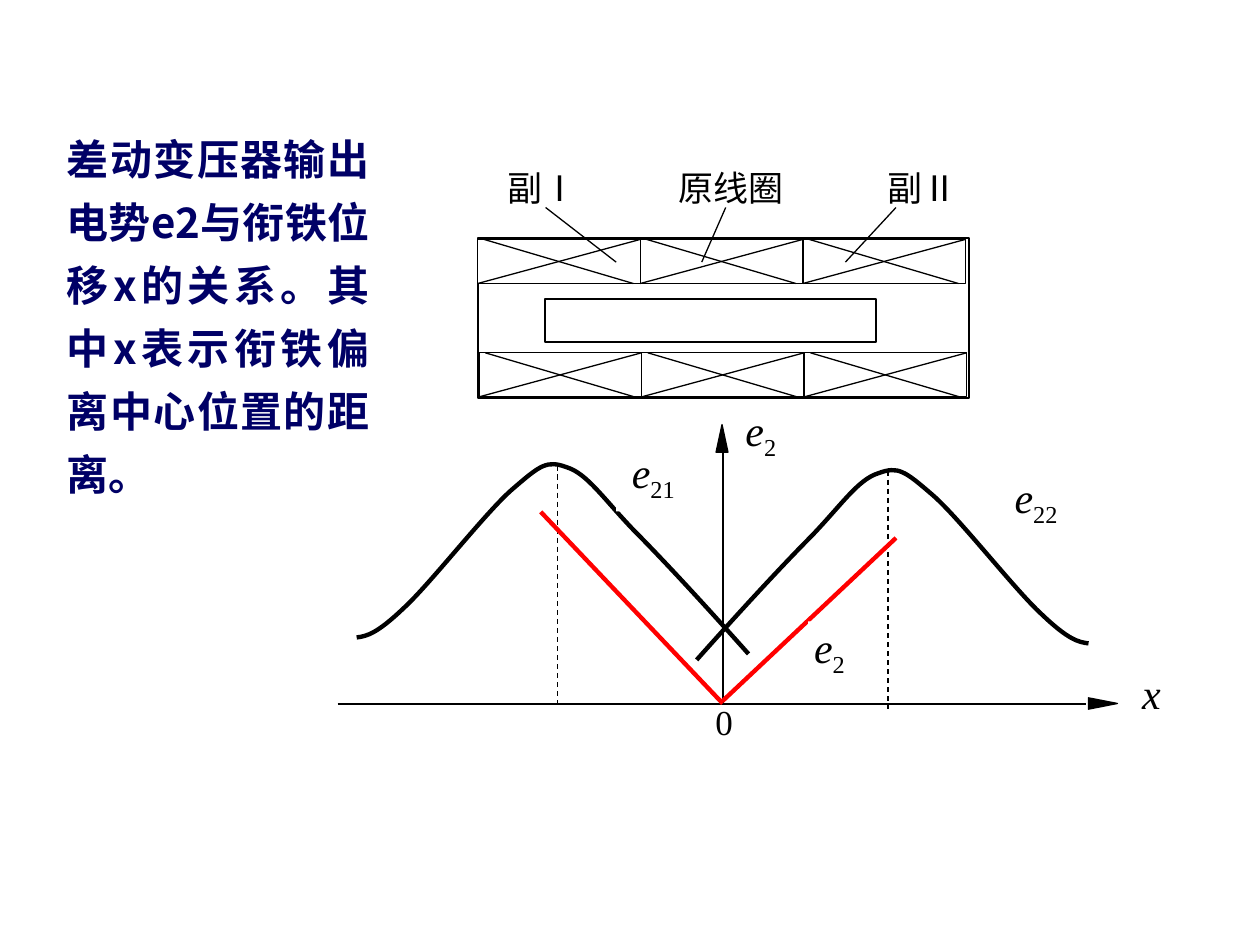
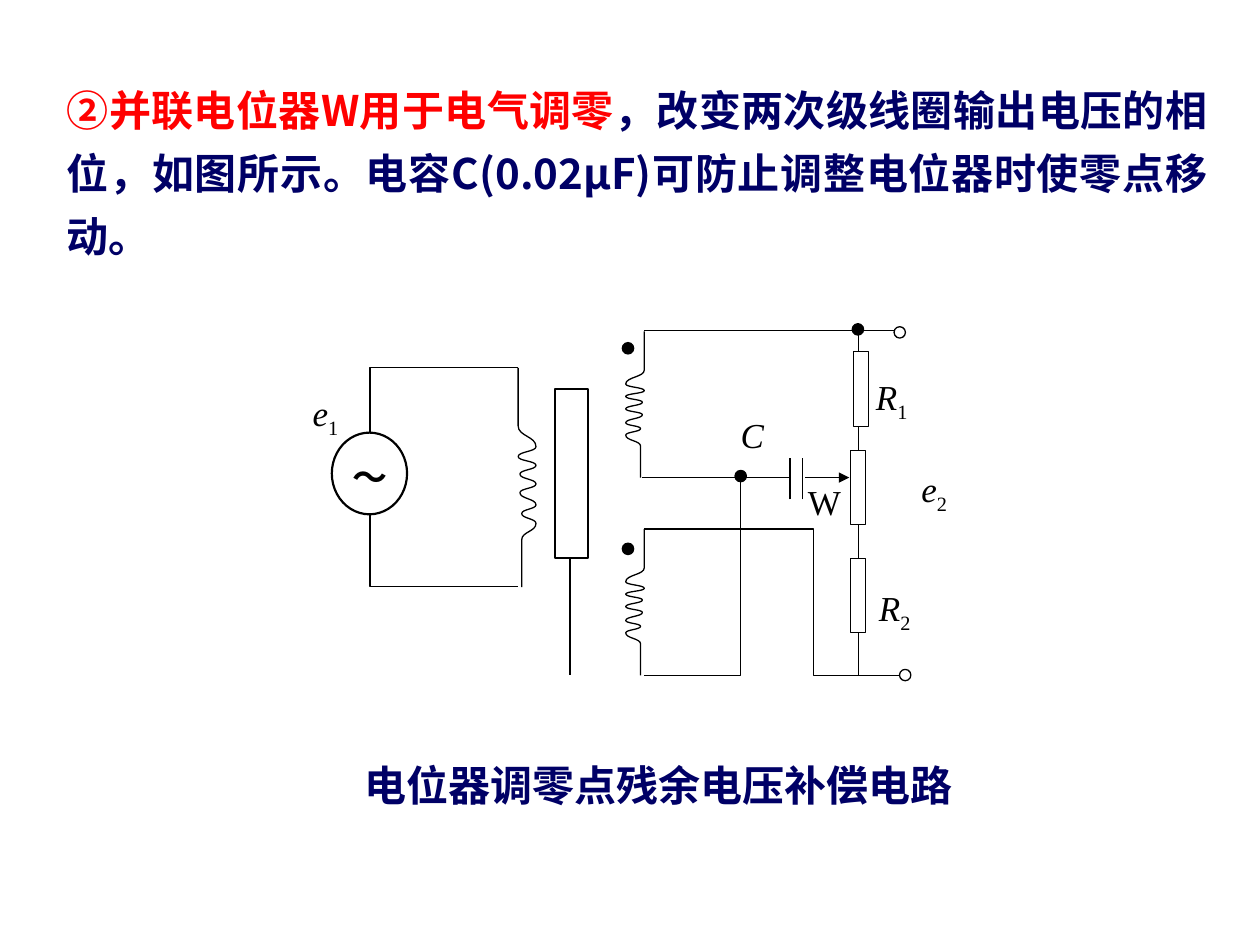
from typing import NamedTuple, Optional

from pptx import Presentation
from pptx.dml.color import RGBColor
from pptx.enum.dml import MSO_LINE
from pptx.enum.shapes import MSO_CONNECTOR, MSO_SHAPE
from pptx.enum.text import MSO_ANCHOR, MSO_AUTO_SIZE, PP_ALIGN
from pptx.oxml.ns import qn
from pptx.util import Pt
from lxml.etree import SubElement

BLACK, WHITE, NAVY, RED = "000000", "FFFFFF", "000066", "FF0000"
SANS, SERIF = "Noto Sans CJK SC", "Times New Roman"
THIN, MEDIUM, THICK = 0.75, 1.25, 2.5
DOT = 6.5


class Box(NamedTuple):
    x: float
    y: float
    w: float
    h: float


class Label(NamedTuple):
    box: Box
    text: str
    sub: str = ""
    italic: bool = True
    fill: Optional[str] = WHITE


class Wire(NamedTuple):
    x1: float
    y1: float
    x2: float
    y2: float
    color: str = BLACK
    width: float = THIN
    dashed: bool = False
    arrow: bool = False


def rgb(value: str) -> RGBColor:
    return RGBColor.from_string(value)


def set_line(line, color: str, width: float) -> None:
    line.color.rgb = rgb(color)
    line.width = Pt(width)


def set_fill(fill, color: Optional[str]) -> None:
    if color:
        fill.solid()
        fill.fore_color.rgb = rgb(color)
    else:
        fill.background()


def add_run(p, text: str, *, size=24, font=SERIF, color=BLACK, bold=False,
            italic=False, subscript=False) -> None:
    r = p.add_run()
    r.text = text
    f = r.font
    f.size, f.name, f.bold, f.italic = Pt(size), font, bold, italic
    f.color.rgb = rgb(color)
    rpr = r._r.get_or_add_rPr()
    if font == SANS:
        SubElement(rpr, qn("a:ea")).set("typeface", font)
    if subscript:
        rpr.set("baseline", "-25000")


def add_body(s, box: Box, *parts: tuple[str, str]) -> None:
    """Add a bold justified paragraph made of (text, colour) parts."""
    tf = s.shapes.add_textbox(*map(Pt, box)).text_frame
    tf.word_wrap = True
    tf.auto_size = MSO_AUTO_SIZE.SHAPE_TO_FIT_TEXT
    p = tf.paragraphs[0]
    p.alignment, p.line_spacing = PP_ALIGN.JUSTIFY, 1.25
    for text, color in parts:
        add_run(p, text, font=SANS, color=color, bold=True)


def add_label(s, label: Label, *, size=20, align=PP_ALIGN.JUSTIFY,
              anchor=MSO_ANCHOR.TOP, bold=False) -> None:
    """Add a label: a filled rectangle, or a text box if it has no fill."""
    if label.fill:
        sp = s.shapes.add_shape(MSO_SHAPE.RECTANGLE, *map(Pt, label.box))
        sp.shadow.inherit = False
        set_fill(sp.fill, label.fill)
        sp.line.fill.background()
    else:
        sp = s.shapes.add_textbox(*map(Pt, label.box))
    tf = sp.text_frame
    tf.word_wrap = True
    tf.margin_left = tf.margin_right = tf.margin_top = tf.margin_bottom = 0
    tf.vertical_anchor = anchor
    p = tf.paragraphs[0]
    p.alignment = align
    add_run(p, label.text, size=size, italic=label.italic, bold=bold)
    if label.sub:
        add_run(p, label.sub, size=size, subscript=True)


def add_preset(s, kind, box: Box, *, fill: Optional[str] = WHITE, width=THIN,
               rotation=0) -> None:
    sp = s.shapes.add_shape(kind, *map(Pt, box))
    sp.shadow.inherit = False
    sp.rotation = rotation
    set_fill(sp.fill, fill)
    set_line(sp.line, BLACK, width)


def add_wire(s, wire: Wire) -> None:
    ends = map(Pt, (wire.x1, wire.y1, wire.x2, wire.y2))
    cxn = s.shapes.add_connector(MSO_CONNECTOR.STRAIGHT, *ends)
    set_line(cxn.line, wire.color, wire.width)
    if wire.dashed:
        cxn.line.dash_style = MSO_LINE.DASH
    if wire.arrow:
        SubElement(cxn.line._get_or_add_ln(), qn("a:tailEnd")).set("type", "triangle")
    SubElement(cxn._element.spPr, qn("a:effectLst"))


def add_outline(s, start: tuple, segments: list, *, width=THIN,
                fill: Optional[str] = None) -> None:
    """Draw an open outline; a segment has one point (line) or three (cubic curve)."""
    builder = s.shapes.build_freeform(*map(Pt, start))
    builder.add_line_segments([(Pt(x), Pt(y)) for seg in segments for x, y in seg],
                              close=False)
    sp = builder.convert_to_shape()
    sp.shadow.inherit = False
    set_fill(sp.fill, fill)
    set_line(sp.line, BLACK, width)
    outline = sp._element.spPr.find(".//" + qn("a:path"))
    steps = iter(list(outline)[1:])
    for seg in segments:
        lines = [next(steps) for _ in seg]
        if len(seg) == 3:
            curve = SubElement(outline, qn("a:cubicBezTo"))
            for line in lines:
                curve.append(line[0])
                outline.remove(line)
        else:
            outline.append(lines[0])


def add_coil(s, x: float, y: float, w: float, h: float) -> None:
    """Draw a winding from (x, y) downwards; a negative w bulges to the left."""
    levels = (0.265, 0.36, 0.405, 0.445, 0.485, 0.53, 0.57, 0.625, 0.665, 0.71, 0.785)
    swings = (0, 1, 0, 1, 0.1, 1, 0.1, 1, 0.2, 1, 0.2)
    turns = [(x + w * a, y + h * b) for a, b in zip(swings, levels)]
    segments = [[turns[0]]]
    for (x0, y0), (x1, y1) in zip(turns, turns[1:]):
        middle = (y0 + y1) / 2
        segments.append([(x0, middle), (x1, middle), (x1, y1)])
    add_outline(s, (x, y), segments + [[(turns[-1][0], y + h)]], fill=WHITE)


def add_winding_row(s, left: float, top: float) -> None:
    """Draw a group of three crossed winding cells side by side."""
    row = s.shapes.add_group_shape()
    w, h = 92.9, 25.2
    for i in range(3):
        x = left + i * w
        add_preset(row, MSO_SHAPE.RECTANGLE, Box(x, top, w, h))
        add_wire(row, Wire(x + w, top, x, top + h))
        add_wire(row, Wire(x + 3.6, top, x + w - 4, top + h))


def add_output_curves(s) -> None:
    """Draw the curve of e21 and its mirror image, e22."""
    knots = [(203.8, 364.3), (209.5, 363.6), (215.3, 362.2), (230.4, 347.8),
             (245.5, 334.1), (277.9, 292.3), (293, 279.4),
             (308.9, 265.7), (312.5, 262.8), (324, 267.1),
             (335.5, 270.7), (344.9, 285.1), (362.2, 303.1),
             (379.4, 320.4), (403.9, 347), (427.7, 373.7)]
    mirrored = [(825.8 - x, y + 3.4) for x, y in knots]
    for curve in (knots, mirrored):
        segments = [curve[i:i + 3] for i in range(1, len(curve), 3)]
        add_outline(s, curve[0], segments, width=THICK)


def build_characteristic(prs) -> None:
    s = prs.slides.add_slide(prs.slide_layouts[6])
    add_label(s, Label(Box(280.8, 88.6, 58.3, 37.4), "副Ⅰ", italic=False),
              align=PP_ALIGN.CENTER, anchor=MSO_ANCHOR.MIDDLE)
    add_preset(s, MSO_SHAPE.RECTANGLE, Box(273, 136, 280.8, 91.4),
               fill=None, width=MEDIUM)
    add_winding_row(s, 273, 136.8)
    add_winding_row(s, 273.7, 201.6)
    add_preset(s, MSO_SHAPE.RECTANGLE, Box(311.6, 171, 188.9, 24.6), width=MEDIUM)

    for axis in (Wire(413.1, 258.5, 413.1, 402.3), Wire(193, 402.3, 620.6, 402.3)):
        add_wire(s, axis)
    add_output_curves(s)
    for wire in (Wire(318.4, 266, 318.4, 402.3, dashed=True),
                 Wire(507.4, 268.9, 507.4, 405.4, dashed=True),
                 Wire(413, 400.5, 512, 307.4, RED, THICK),
                 Wire(413, 402, 309, 292.5, RED, THICK)):
        add_wire(s, wire)
    add_preset(s, MSO_SHAPE.ISOSCELES_TRIANGLE, Box(409.2, 242.6, 6.8, 15.8), fill=BLACK)
    add_preset(s, MSO_SHAPE.ISOSCELES_TRIANGLE, Box(627, 393.7, 6.5, 16.6),
               fill=BLACK, rotation=90)

    add_label(s, Label(Box(408.8, 400.3, 32.4, 27.4), "0", italic=False, fill=None))
    for label in (Label(Box(461.8, 355, 24.5, 37.4), "e", "2"),
                  Label(Box(422.6, 231.1, 24.5, 37.4), "e", "2"),
                  Label(Box(352.1, 254.9, 42.5, 37.4), "e", "21"),
                  Label(Box(567.2, 269.3, 49.7, 37.4), "e", "22"),
                  Label(Box(646.8, 381.6, 22.3, 37.4), "x", fill=None)):
        add_label(s, label, size=24, align=PP_ALIGN.CENTER)
    for x, w, text in ((498.2, 58.3, "副Ⅱ"), (376.6, 82.1, "原线圈")):
        add_label(s, Label(Box(x, 88.6, w, 37.4), text, italic=False),
                  align=PP_ALIGN.CENTER, anchor=MSO_ANCHOR.MIDDLE)
    for x1, x2 in ((311.8, 352.1), (512, 483.1), (414.7, 401)):
        add_wire(s, Wire(x1, 118.6, x2, 149.8))
    add_body(s, Box(31, 65.8, 187.2, 223.2),
             ("差动变压器输出电势e2与衔铁位移x的关系。其中x表示衔铁偏离中心位置的距离。 ", NAVY))


def build_zero_circuit(prs) -> None:
    s = prs.slides.add_slide(prs.slide_layouts[6])
    add_body(s, Box(31, 37.4, 666, 115.2),
             ("②并联电位器W用于电气调零", RED),
             ("，改变两次级线圈输出电压的相位，如图所示。"
              "电容C(0.02μF)可防止调整电位器时使零点移动。", NAVY))
    add_body(s, Box(201.3, 423.4, 351.4, 43.2), ("电位器调零点残余电压补偿电路", NAVY))

    circuit = s.shapes.add_group_shape()
    add_coil(circuit, 296.1, 210.2, 10.2, 125.3)
    for top in (189.4, 302.4):
        add_coil(circuit, 368.2, top, -10.6, 83.5)
    for corners in ([(296, 210.2), (211.5, 210.2), (211.5, 335.3), (296, 335.3)],
                    [(368, 385.9), (423.1, 385.9), (423.1, 272.9)],
                    [(368, 302.3), (464.7, 302.3), (464.7, 385.9), (515.5, 385.9)]):
        add_outline(circuit, corners[0], [[corner] for corner in corners[1:]])

    add_preset(circuit, MSO_SHAPE.OVAL, Box(189.6, 247.2, 43, 46.7), width=MEDIUM)
    add_label(circuit, Label(Box(201.6, 260.4, 25.9, 33.8), "～", italic=False, fill=None),
              bold=True)
    add_preset(circuit, MSO_SHAPE.RECTANGLE, Box(317, 222.1, 18.9, 97), width=MEDIUM)

    for wire in (Wire(325.6, 319, 325.6, 385.9, width=MEDIUM),
                 Wire(368, 189, 514, 189),
                 Wire(490.4, 189, 490.4, 385.9),
                 Wire(367, 272.8, 451.4, 272.8),
                 Wire(451.4, 285.4, 451.4, 262),
                 Wire(458.4, 285.4, 458.4, 262),
                 Wire(460.1, 272.9, 485.3, 272.9, arrow=True)):
        add_wire(circuit, wire)
    for x, y in ((487.6, 201), (486, 257.3), (486, 319)):
        add_preset(circuit, MSO_SHAPE.RECTANGLE, Box(x, y, 8.6, 42.6))
    for x, y, fill in ((420, 268.8, BLACK), (487, 185, BLACK), (355.6, 195.8, BLACK),
                       (355.6, 310.4, BLACK), (510.9, 186.7, WHITE), (514, 382.5, WHITE)):
        add_preset(circuit, MSO_SHAPE.OVAL, Box(x, y, DOT, DOT), fill=fill)

    for x, y, text, sub, fill in ((178.6, 223.9, "e", "1", None),
                                  (526.5, 267.1, "e", "2", WHITE),
                                  (423.2, 236.2, "C", "", WHITE),
                                  (500.6, 214.6, "R", "1", WHITE),
                                  (502.3, 335.3, "R", "2", WHITE),
                                  (461.7, 274.3, "W", "", None)):
        add_label(circuit, Label(Box(x, y, 24.5, 28.8), text, sub, text != "W", fill))


def main() -> None:
    prs = Presentation()
    prs.slide_width, prs.slide_height = Pt(720), Pt(540)
    build_characteristic(prs)
    build_zero_circuit(prs)
    prs.save("out.pptx")


if __name__ == "__main__":
    main()
